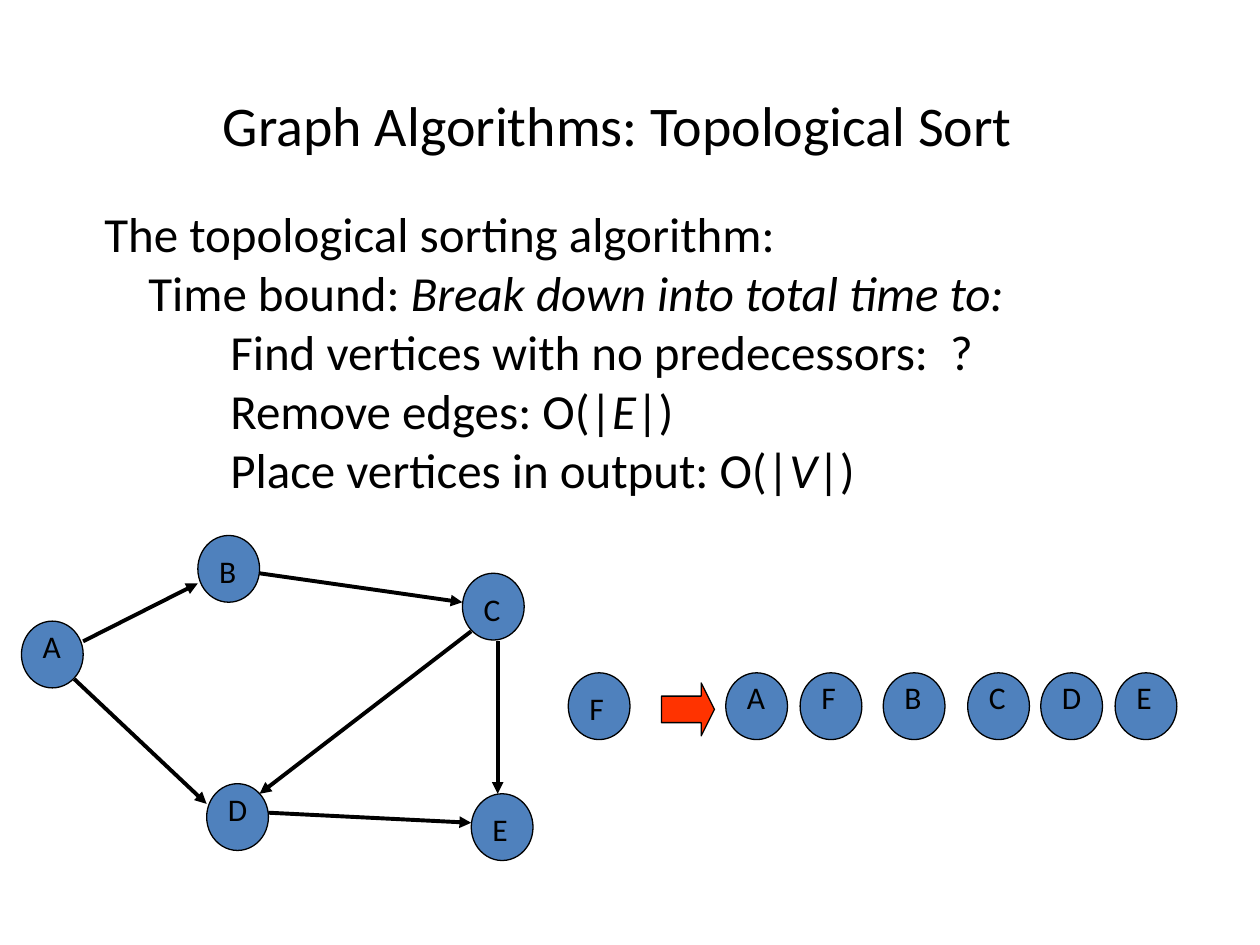
import pptx
import pptx.dml.color
import pptx.enum.shapes
import pptx.enum.text
import pptx.oxml
import pptx.oxml.ns
import pptx.util

MSO = pptx.enum.shapes.MSO_SHAPE
FONT, BLACK, BLUE, RED = "Calibri", "000000", "4F81BD", "FF3300"
NODE_W, NODE_H = 4.9, 5.3      # in grid columns and rows

prs = pptx.Presentation()
prs.slide_width = pptx.util.Inches(10)
prs.slide_height = pptx.util.Inches(7.5)
COL, ROW = prs.slide_width / 100, prs.slide_height / 75


def place(x, y, w, h):
    """Turn grid columns and rows into slide lengths."""
    return [round(v) for v in (x * COL, y * ROW, w * COL, h * ROW)]


def color(hex_code):
    return pptx.dml.color.RGBColor.from_string(hex_code)


def add_text(slide, box, paragraphs, size):
    """Each paragraph is (indent in columns, [(text, italic), ...])."""
    tf = slide.shapes.add_textbox(*place(*box)).text_frame
    tf.word_wrap = True
    tf.auto_size = pptx.enum.text.MSO_AUTO_SIZE.NONE
    for i, (indent, runs) in enumerate(paragraphs):
        p = tf.add_paragraph() if i else tf.paragraphs[0]
        if indent:
            p._p.get_or_add_pPr().set("marL", str(round(indent * COL)))
        for text, italic in runs:
            r = p.add_run()
            r.text = text
            r.font.name, r.font.size = FONT, pptx.util.Pt(size)
            r.font.italic = italic
            r.font.color.rgb = color(BLACK)


def add_outlined(slide, kind, box, fill):
    sp = slide.shapes.add_shape(kind, *place(*box))
    sp.shadow.inherit = False
    sp.fill.solid()
    sp.fill.fore_color.rgb = color(fill)
    sp.line.color.rgb = color(BLACK)
    sp.line.width = pptx.util.Pt(0.75)
    return sp


def add_node(slide, x, y, letter, drop):
    """Draw a vertex; drop is the label's offset below the circle's top."""
    add_outlined(slide, MSO.OVAL, (x, y, NODE_W, NODE_H), BLUE)
    add_text(slide, (x + 0.7, y + drop, 3.3, 5), [(0, [(letter, False)])], 18)


def add_arrow(slide, x1, y1, x2, y2):
    line = slide.shapes.add_connector(
        pptx.enum.shapes.MSO_CONNECTOR.STRAIGHT, *place(x1, y1, x2, y2))
    line.line.color.rgb = color(BLACK)
    line.line.width = pptx.util.Pt(2.25)
    tail = pptx.oxml.parse_xml(
        f'<a:tailEnd {pptx.oxml.ns.nsdecls("a")} type="triangle"/>')
    line.line._get_or_add_ln().append(tail)
    line._element.spPr.append(pptx.oxml.parse_xml(
        f'<a:effectLst {pptx.oxml.ns.nsdecls("a")}/>'))


def draw_graph(slide, left, top):
    # Vertices: column, row, label drop
    nodes = {"A": (0, 6.8, 0), "B": (14, 0, 0.8), "C": (35, 3, 0.8),
             "D": (14.7, 19.7, 0), "E": (35.7, 20.5, 0.8)}
    # Edges: the two vertices, with the end points relative to each
    edges = [("A", (4.9, 1.6), "B", (0, 3.8)), ("B", (4.9, 3), "C", (0, 2.3)),
             ("A", (4.2, 4.6), "D", (0, 1.6)), ("D", (4.9, 2.3), "E", (0, 2.3)),
             ("C", (2.8, 5.4), "E", (2.1, 0)), ("C", (0.7, 4.6), "D", (4.2, 0.8))]
    for letter, (x, y, drop) in nodes.items():
        add_node(slide, left + x, top + y, letter, drop)
    for start, (dx1, dy1), end, (dx2, dy2) in edges:
        (x1, y1, _), (x2, y2, _) = nodes[start], nodes[end]
        add_arrow(slide, left + x1 + dx1, top + y1 + dy1,
                  left + x2 + dx2, top + y2 + dy2)


def draw_output(slide, left, top):
    # Vertex without edges, then the arrow to the sorted order
    add_node(slide, left, top, "F", 0.8)
    arrow = add_outlined(slide, MSO.RIGHT_ARROW,
                         (left + 7.4, top + 0.8, 4.2, 4.2), RED)
    arrow.adjustments[0], arrow.adjustments[1] = 0.5, 0.25
    for letter, x in zip("AFBCDE", (12.5, 18.4, 25, 31.7, 37.5, 43.4)):
        add_node(slide, left + x, top, letter, -0.1)


slide = prs.slides.add_slide(prs.slide_layouts[6])

# Title
add_text(slide, (16.7, 6.7, 66.8, 6.3),
         [(0, [("Graph Algorithms: Topological Sort", False)])], 32)

# Time bound
add_text(slide, (7.3, 15.7, 79.3, 24.4), [
    (0, [("The topological sorting algorithm:", False)]),
    (3.5, [("Time bound: ", False), ("Break down into total time to:", True)]),
    (10, [("Find vertices with no predecessors:  ?", False)]),
    (10, [("Remove edges: O(|", False), ("E", True), ("|)", False)]),
    (10, [("Place vertices in output: O(|", False), ("V", True), ("|)", False)]),
], 28)

# Graph and its sorted output
draw_graph(slide, 1.7, 42.5)
draw_output(slide, 45.1, 53.4)

prs.save("out.pptx")
